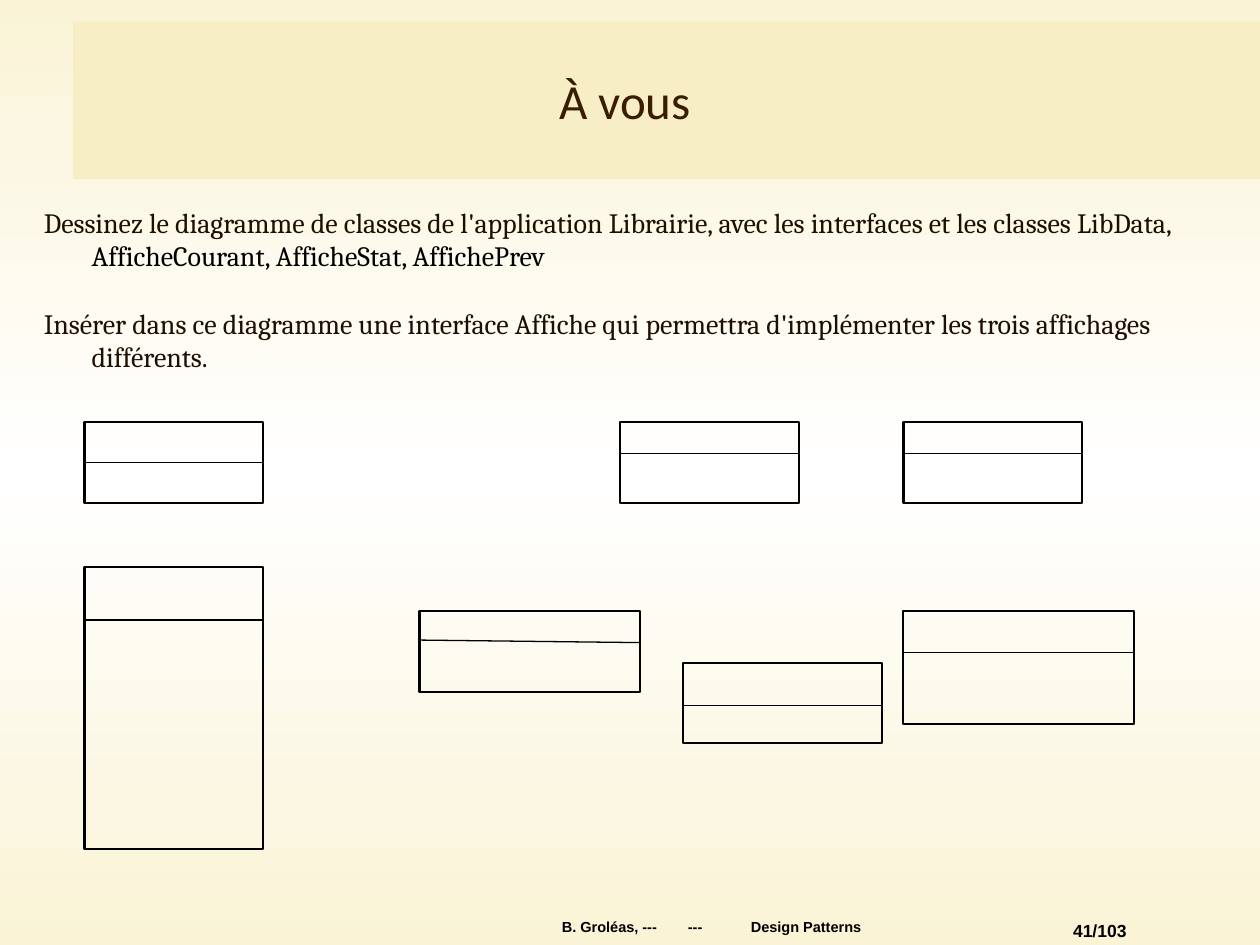
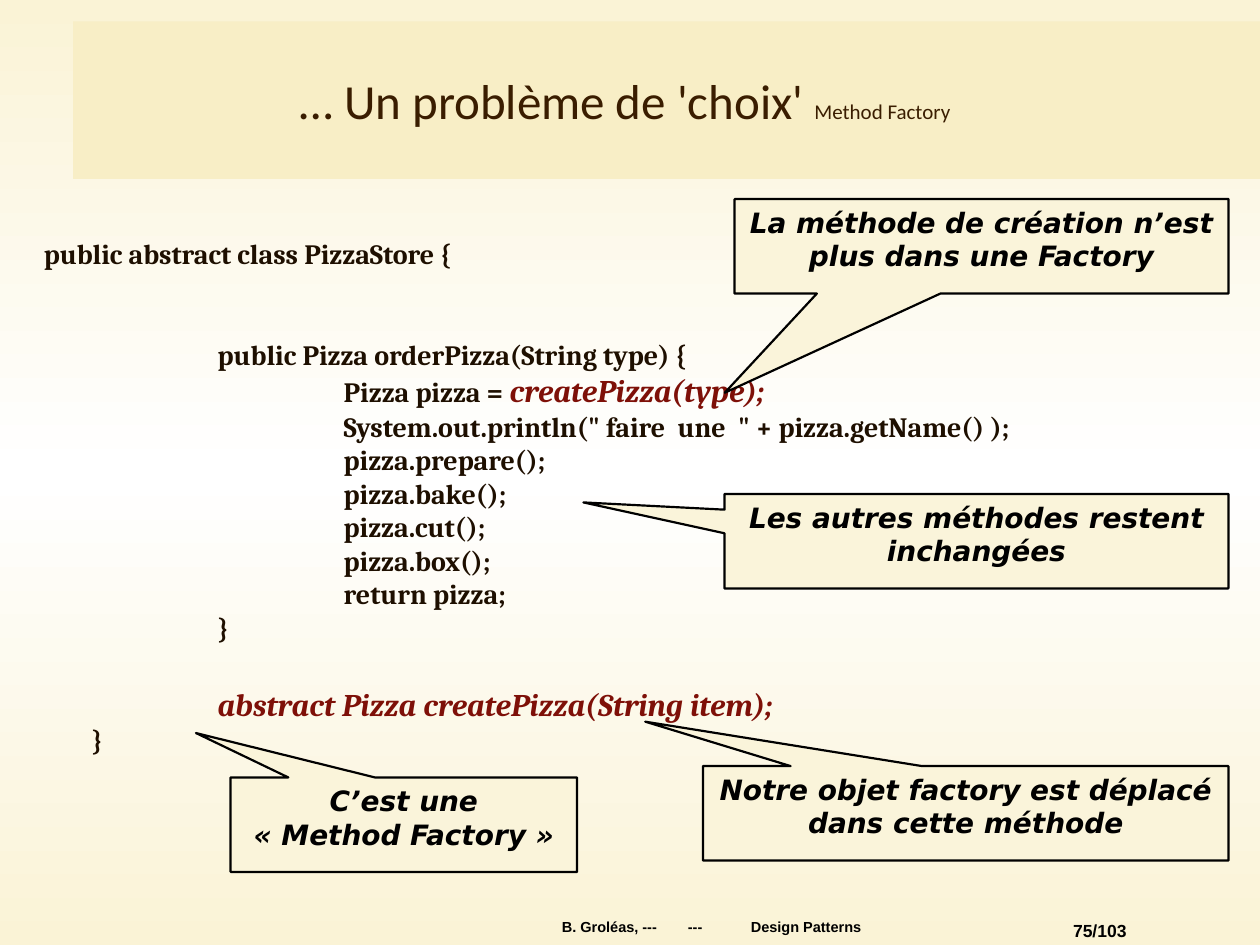
"""Build two slides of a design patterns course: a class diagram exercise and an annotated code listing."""
import copy
from dataclasses import dataclass

import lxml.etree
import pptx
import pptx.dml.color
import pptx.enum.shapes
import pptx.enum.text
import pptx.oxml.ns
import pptx.util

Inches = pptx.util.Inches
Pt = pptx.util.Pt
RGBColor = pptx.dml.color.RGBColor
Align = pptx.enum.text.PP_ALIGN
Anchor = pptx.enum.text.MSO_ANCHOR
Shape = pptx.enum.shapes.MSO_SHAPE
qn = pptx.oxml.ns.qn

CREAM = RGBColor(0xFA, 0xF3, 0xD6)
WHITE = RGBColor(0xFF, 0xFF, 0xFF)
BAND = RGBColor(0xF8, 0xEE, 0xC6)
CALLOUT_FILL = RGBColor(0xFA, 0xF4, 0xDA)
BLACK = RGBColor(0x00, 0x00, 0x00)
TITLE_BROWN = RGBColor(0x3A, 0x1D, 0x00)
BODY_BROWN = RGBColor(0x1E, 0x0F, 0x00)
CODE_RED = RGBColor(0x7E, 0x10, 0x08)

HANGING = 0.38
BLANK_LINE = 19.25


@dataclass(frozen=True)
class ClassBox:
    """A class rectangle and the depth of its name compartment."""
    left: float
    top: float
    width: float
    height: float
    divider: float
    slant: float = 0


@dataclass(frozen=True)
class Callout:
    """A comment on the code and where its tip points."""
    left: float
    top: float
    width: float
    tip: tuple[float, float]
    lines: tuple[str, ...]


@dataclass(frozen=True)
class CodeLine:
    """A line of code, its left margin, its highlighted ending and the space before it."""
    margin: float
    text: str
    highlight: str = ""
    space: float = 0


METHOD = HANGING + 1
STATEMENT = HANGING + 2

CLASS_BOXES = (
    ClassBox(0.67, 3.35, 1.42, 0.64, 0.32),
    ClassBox(4.92, 3.35, 1.42, 0.64, 0.25),
    ClassBox(7.17, 3.35, 1.42, 0.64, 0.25),
    ClassBox(0.67, 4.5, 1.42, 2.24, 0.42),
    ClassBox(3.33, 4.85, 1.75, 0.64, 0.23, 0.02),
    ClassBox(5.42, 5.26, 1.58, 0.64, 0.34),
    ClassBox(7.17, 4.85, 1.83, 0.9, 0.33),
)

CODE = (
    CodeLine(0, "public abstract class PizzaStore {"),
    CodeLine(METHOD, "public Pizza orderPizza(String type) {", space=2 * BLANK_LINE),
    CodeLine(STATEMENT, "Pizza pizza = ", "createPizza(type);"),
    CodeLine(STATEMENT, 'System.out.println(" faire  une  " + pizza.getName() );'),
    CodeLine(STATEMENT, "pizza.prepare();"),
    CodeLine(STATEMENT, "pizza.bake();"),
    CodeLine(STATEMENT, "pizza.cut();"),
    CodeLine(STATEMENT, "pizza.box();"),
    CodeLine(STATEMENT, "return pizza;"),
    CodeLine(METHOD, "}"),
    CodeLine(METHOD, "", "abstract Pizza createPizza(String item);", BLANK_LINE + 4),
    CodeLine(HANGING, "}"),
)

CALLOUTS = (
    Callout(5.83, 1.58, 3.92, (-0.52, 1.55),
            ("La méthode de création n’est plus dans une Factory",)),
    Callout(5.75, 3.92, 4, (-0.78, -0.41), ("Les autres méthodes restent inchangées",)),
    Callout(5.58, 6.08, 4.17, (-0.61, -0.97),
            ("Notre objet factory est déplacé dans cette méthode",)),
    Callout(1.83, 6.17, 2.75, (-0.6, -0.97), ("C’est une", "«\u00a0Method Factory\u00a0»")),
)


def add_span(para, text: str, *, size: float, font: str, color: RGBColor,
             bold: bool = False, italic: bool = False) -> None:
    """Append formatted text to a paragraph."""
    span = para.add_run()
    span.text = text
    span.font.size = Pt(size)
    span.font.name = font
    span.font.color.rgb = color
    span.font.bold = bold
    span.font.italic = italic


def add_para(frame, *, align=Align.LEFT, margin: float = 0, indent: float = 0,
             space: float = 0, tabs: tuple[float, ...] = ()):
    """Return the empty first paragraph of a frame, or a new one, laid out."""
    para = frame.add_paragraph() if frame.text else frame.paragraphs[0]
    para.alignment = align
    para.space_before = Pt(space)
    properties = para._p.get_or_add_pPr()
    properties.set("marL", str(Inches(margin)))
    properties.set("indent", str(Inches(indent)))
    if tabs:
        stops = lxml.etree.SubElement(properties, qn("a:tabLst"))
        for position in tabs:
            lxml.etree.SubElement(stops, qn("a:tab"), pos=str(Inches(position)), algn="l")
    return para


def add_frame(page, left: float, top: float, width: float, height: float):
    """Add a wrapping text box and return its text frame."""
    box = page.shapes.add_textbox(Inches(left), Inches(top), Inches(width), Inches(height))
    box.text_frame.word_wrap = True
    return box.text_frame


def add_box(page, kind, left: float, top: float, width: float, height: float,
            fill: RGBColor | None = None, outlined: bool = True):
    """Add a flat shape with an optional fill and black outline."""
    box = page.shapes.add_shape(kind, Inches(left), Inches(top), Inches(width), Inches(height))
    box.shadow.inherit = False
    if fill is None:
        box.fill.background()
    else:
        box.fill.solid()
        box.fill.fore_color.rgb = fill
    if outlined:
        box.line.color.rgb = BLACK
        box.line.width = Pt(1.25)
    else:
        box.line.fill.background()
    return box


def paint_background(page) -> None:
    """Fill the page with a vertical cream, white, cream gradient."""
    fill = page.background.fill
    fill.gradient()
    fill.gradient_angle = 90
    edge, middle = fill.gradient_stops
    edge.color.rgb, edge.position = CREAM, 0
    middle.color.rgb, middle.position = WHITE, 0.5
    stops = page.element.find(".//" + qn("a:gsLst"))
    last = copy.deepcopy(stops[0])
    last.set("pos", "100000")
    stops.append(last)


def add_page(deck, title: str, number: int, subtitle: str = ""):
    """Add a page with its background, band, title and footers."""
    page = deck.slides.add_slide(deck.slide_layouts[6])
    paint_background(page)
    add_box(page, Shape.RECTANGLE, 0.58, 0.17, 9.42, 1.25, BAND, outlined=False)

    counter = add_frame(page, 8.33, 7.25, 0.75, 0.25)
    counter.margin_right = Inches(0.14)
    counter.margin_left = 0
    add_span(add_para(counter, align=Align.RIGHT), f"{number}/103",
             size=10, font="Arial", color=BLACK, bold=True)

    footer = add_frame(page, 2.08, 7.25, 6.67, 0.25)
    footer.margin_left = Inches(2.38)
    para = add_para(footer, tabs=(0.85, 1.06))
    para.line_spacing = 0.9
    add_span(para, "B. Groléas, ---\t---\tDesign Patterns",
             size=8.3, font="Arial", color=BLACK, bold=True)

    heading = add_frame(page, 0.42, 0.33, 9.08, 0.92)
    heading.vertical_anchor = Anchor.MIDDLE
    para = add_para(heading, align=Align.CENTER)
    add_span(para, title, size=28, font="Calibri", color=TITLE_BROWN)
    if subtitle:
        add_span(para, subtitle, size=12, font="Calibri", color=TITLE_BROWN)
    return page


def add_class_box(page, item: ClassBox) -> None:
    """Draw a class rectangle and the line under its name."""
    box = add_box(page, Shape.RECTANGLE, item.left, item.top, item.width, item.height)
    level = item.top + item.divider
    line = page.shapes.add_connector(
        pptx.enum.shapes.MSO_CONNECTOR.STRAIGHT, Inches(item.left), Inches(level),
        Inches(item.left + item.width), Inches(level + item.slant))
    line.line.color.rgb = BLACK
    line.line.width = Pt(0.75)
    lxml.etree.SubElement(line._element.spPr, qn("a:effectLst"))
    if item.divider * 2 == item.height:
        line.begin_connect(box, 1)
        line.end_connect(box, 3)


def add_callout(page, item: Callout) -> None:
    """Draw a comment whose tip points into the code."""
    box = add_box(page, Shape.RECTANGULAR_CALLOUT, item.left, item.top, item.width, 0.75,
                  CALLOUT_FILL)
    box.adjustments[0], box.adjustments[1] = item.tip
    box.text_frame.word_wrap = True
    box.text_frame.vertical_anchor = Anchor.TOP
    for text in item.lines:
        add_span(add_para(box.text_frame, align=Align.CENTER), text,
                 size=16, font="DejaVu Sans", color=BLACK, bold=True, italic=True)


def build_exercise(deck) -> None:
    """Build the class diagram exercise."""
    page = add_page(deck, "À vous", 41)
    body = add_frame(page, 0.25, 1.58, 9.5, 5.33)
    style = {"size": 16, "font": "Cambria"}
    para = add_para(body, margin=HANGING, indent=-HANGING)
    add_span(para, "Dessinez le diagramme de classes de l'application Librairie, "
             "avec les interfaces et les classes LibData, ", color=BODY_BROWN, **style)
    add_span(para, "AfficheCourant, AfficheStat, AffichePrev", color=BLACK, **style)
    para = add_para(body, margin=HANGING, indent=-HANGING, space=BLANK_LINE)
    add_span(para, "Insérer dans ce diagramme une interface Affiche qui permettra "
             "d'implémenter les trois affichages différents.", color=BODY_BROWN, **style)
    for item in CLASS_BOXES:
        add_class_box(page, item)


def build_factory(deck) -> None:
    """Build the annotated factory method listing."""
    page = add_page(deck, "… Un problème de 'choix' ", 75, "Method Factory")
    body = add_frame(page, 0.25, 1.83, 9.5, 5.08)
    for line in CODE:
        para = add_para(body, margin=line.margin, space=line.space)
        if line.text:
            add_span(para, line.text, size=16, font="Cambria", color=BODY_BROWN, bold=True)
        if line.highlight:
            add_span(para, line.highlight, size=18, font="Cambria", color=CODE_RED,
                     bold=True, italic=True)
    for item in CALLOUTS:
        add_callout(page, item)


def main() -> None:
    """Build and save the deck."""
    deck = pptx.Presentation()
    deck.slide_width = Inches(10)
    deck.slide_height = Inches(7.5)
    build_exercise(deck)
    build_factory(deck)
    deck.save("out.pptx")


if __name__ == "__main__":
    main()
